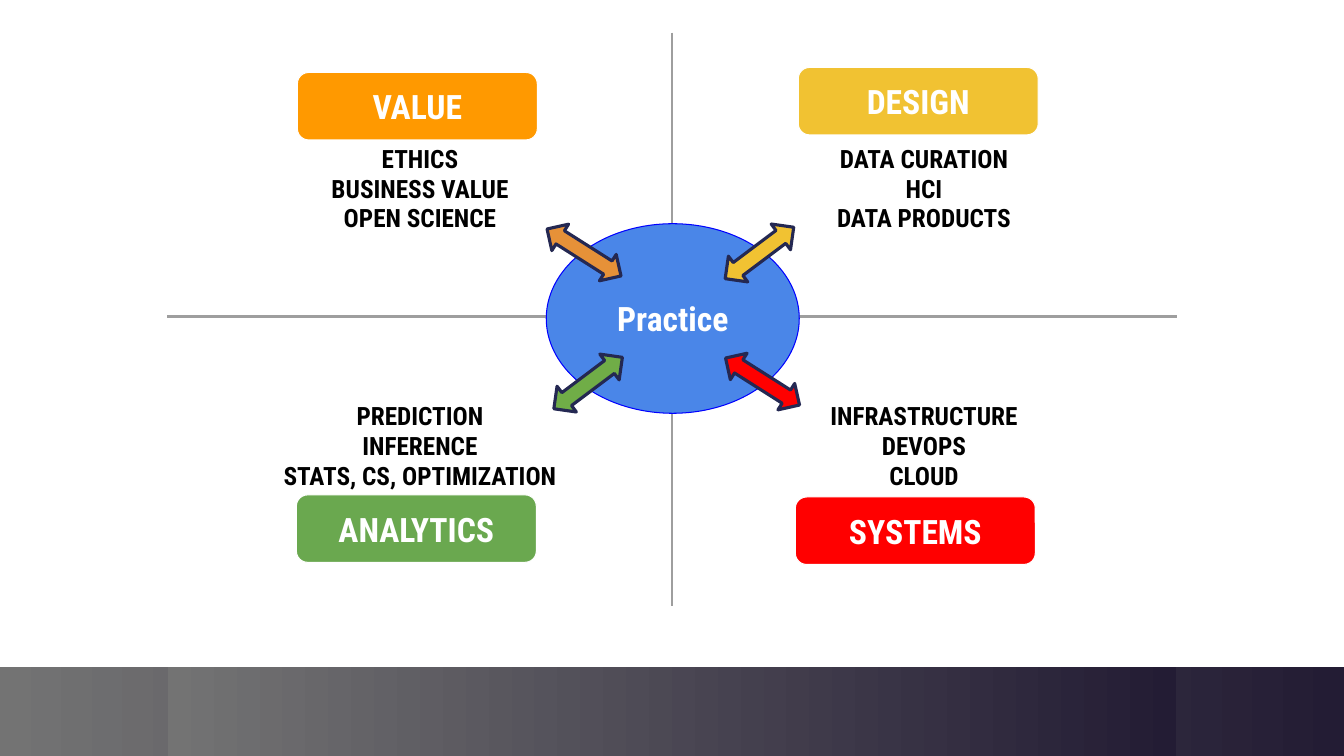
from dataclasses import dataclass

from lxml.etree import SubElement
from pptx import Presentation
from pptx.dml.color import RGBColor
from pptx.enum.shapes import MSO_SHAPE
from pptx.enum.text import MSO_ANCHOR, PP_ALIGN
from pptx.oxml.ns import qn
from pptx.util import Pt


@dataclass(frozen=True)
class Theme:
    font: str = "Roboto Condensed"
    heading_size: float = 24
    topic_size: float = 18
    black: str = "000000"
    white: str = "FFFFFF"
    grid: str = "9E9E9E"
    hub: str = "4A86E8"
    hub_line: str = "0000FF"
    arrow_line: str = "242852"
    band_dark: str = "231C34"
    band_grey: str = "737373"
    orange: str = "FF9900"
    soft_orange: str = "E69138"
    yellow: str = "F1C232"
    red: str = "FF0000"
    green: str = "6AA84F"
    arrow_green: str = "70AD47"


THEME = Theme()
SLIDE_SIZE = (960, 540)
CARD_SIZE = (171.4, 48.2)

TOPICS = [
    [["ETHICS", "BUSINESS VALUE", "OPEN SCIENCE"],
     ["DATA CURATION", "HCI", "DATA PRODUCTS"]],
    [["PREDICTION", "INFERENCE", "STATS, CS, OPTIMIZATION"],
     ["INFRASTRUCTURE", "DEVOPS", "CLOUD"]],
]
CARDS = [
    ("VALUE", 212.4, 51.8, THEME.orange),
    ("DESIGN", 570.2, 48.2, THEME.yellow),
    ("SYSTEMS", 568.1, 355, THEME.red),
    ("ANALYTICS", 211.7, 353.5, THEME.green),
]
FALLING_ARROW = (62.6, 22.3, 32.4)
RISING_ARROW = (61.2, 23, -36.9)
ARROWS = [
    (385.9, 169.2, FALLING_ARROW, THEME.soft_orange),
    (513.4, 261.4, FALLING_ARROW, THEME.red),
    (511.9, 169.2, RISING_ARROW, THEME.yellow),
    (389.5, 262.1, RISING_ARROW, THEME.arrow_green),
]


def rgb(color):
    return RGBColor.from_string(color)


def write_text(frame, lines, *, size, color, bold=True, align=PP_ALIGN.CENTER):
    for index, line in enumerate(lines):
        paragraph = frame.paragraphs[0] if index == 0 else frame.add_paragraph()
        paragraph.alignment = align
        run = paragraph.add_run()
        run.text = line
        run.font.name = THEME.font
        run.font.size = Pt(size)
        run.font.bold = bold
        run.font.color.rgb = rgb(color)


def add_filled_shape(slide, preset, box, fill, line, line_width):
    shape = slide.shapes.add_shape(preset, *map(Pt, box))
    shape.shadow.inherit = False
    shape.fill.solid()
    shape.fill.fore_color.rgb = rgb(fill)
    shape.line.color.rgb = rgb(line)
    shape.line.width = Pt(line_width)
    return shape


def add_heading(slide, preset, box, text, fill, line):
    heading = add_filled_shape(slide, preset, box, fill, line, 0.75)
    frame = heading.text_frame
    frame.word_wrap = True
    frame.vertical_anchor = MSO_ANCHOR.MIDDLE
    frame.margin_left = frame.margin_right = Pt(7.2)
    frame.margin_top = frame.margin_bottom = Pt(7.2)
    write_text(frame, [text], size=THEME.heading_size, color=THEME.white)


def add_band(slide, left, width):
    band = slide.shapes.add_shape(
        MSO_SHAPE.RECTANGLE, Pt(left), Pt(476.6), Pt(width), Pt(63.4))
    band.shadow.inherit = False
    band.line.fill.background()
    band.fill.gradient()
    band.fill.gradient_angle = 180
    for stop, color in zip(band.fill.gradient_stops,
                           (THEME.band_dark, THEME.band_grey)):
        stop.color.rgb = rgb(color)


def add_border(cell, side):
    """Draw one side of a cell: L, R, T or B."""
    border = SubElement(cell._tc.get_or_add_tcPr(), qn(f"a:ln{side}"),
                        w=str(Pt(2.25)))
    solid = SubElement(border, qn("a:solidFill"))
    SubElement(solid, qn("a:srgbClr"), val=THEME.grid)


def add_quadrants(slide):
    table = slide.shapes.add_table(
        2, 2, Pt(120), Pt(23.8), Pt(720), Pt(409.7)).table
    table.first_row = table.horz_banding = False
    for row, height in zip(table.rows, (202.3, 207.4)):
        row.height = Pt(height)
    for r, topic_row in enumerate(TOPICS):
        for c, topics in enumerate(topic_row):
            cell = table.cell(r, c)
            add_border(cell, "RL"[c])
            add_border(cell, "BT"[r])
            cell.fill.background()
            cell.vertical_anchor = MSO_ANCHOR.MIDDLE
            cell.margin_left = cell.margin_right = Pt(7.2)
            # The larger margin draws the topics towards the horizontal axis
            # in the top row and away from the card in the bottom row.
            cell.margin_top, cell.margin_bottom = (
                (Pt(26), Pt(5)) if r == 0 else (Pt(5), Pt(26)))
            write_text(cell.text_frame, topics,
                       size=THEME.topic_size, color=THEME.black)


def add_double_arrow(slide, left, top, form, fill):
    width, height, rotation = form
    arrow = add_filled_shape(slide, MSO_SHAPE.LEFT_RIGHT_ARROW,
                             (left, top, width, height),
                             fill, THEME.arrow_line, 2.25)
    arrow.rotation = rotation


def main():
    presentation = Presentation()
    presentation.slide_width, presentation.slide_height = map(Pt, SLIDE_SIZE)
    slide = presentation.slides.add_slide(presentation.slide_layouts[6])

    add_band(slide, 0, 960)
    add_band(slide, 120, 720)
    add_quadrants(slide)
    add_heading(slide, MSO_SHAPE.OVAL, (390.2, 159.8, 180.7, 135.4),
                "Practice", THEME.hub, THEME.hub_line)
    for left, top, form, fill in ARROWS:
        add_double_arrow(slide, left, top, form, fill)
    for text, left, top, fill in CARDS:
        add_heading(slide, MSO_SHAPE.ROUNDED_RECTANGLE,
                    (left, top, *CARD_SIZE), text, fill, THEME.white)

    presentation.save("out.pptx")


if __name__ == "__main__":
    main()
